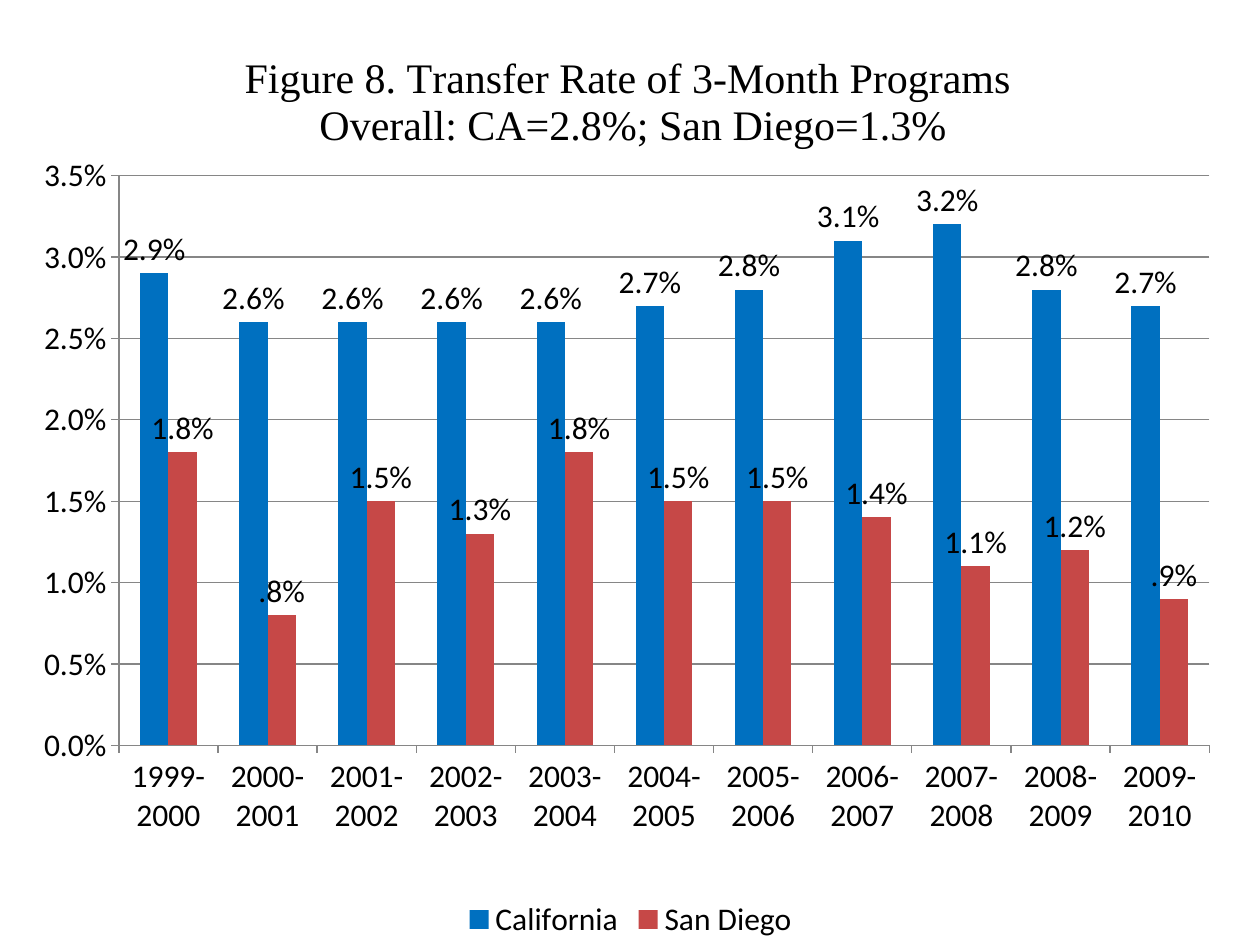
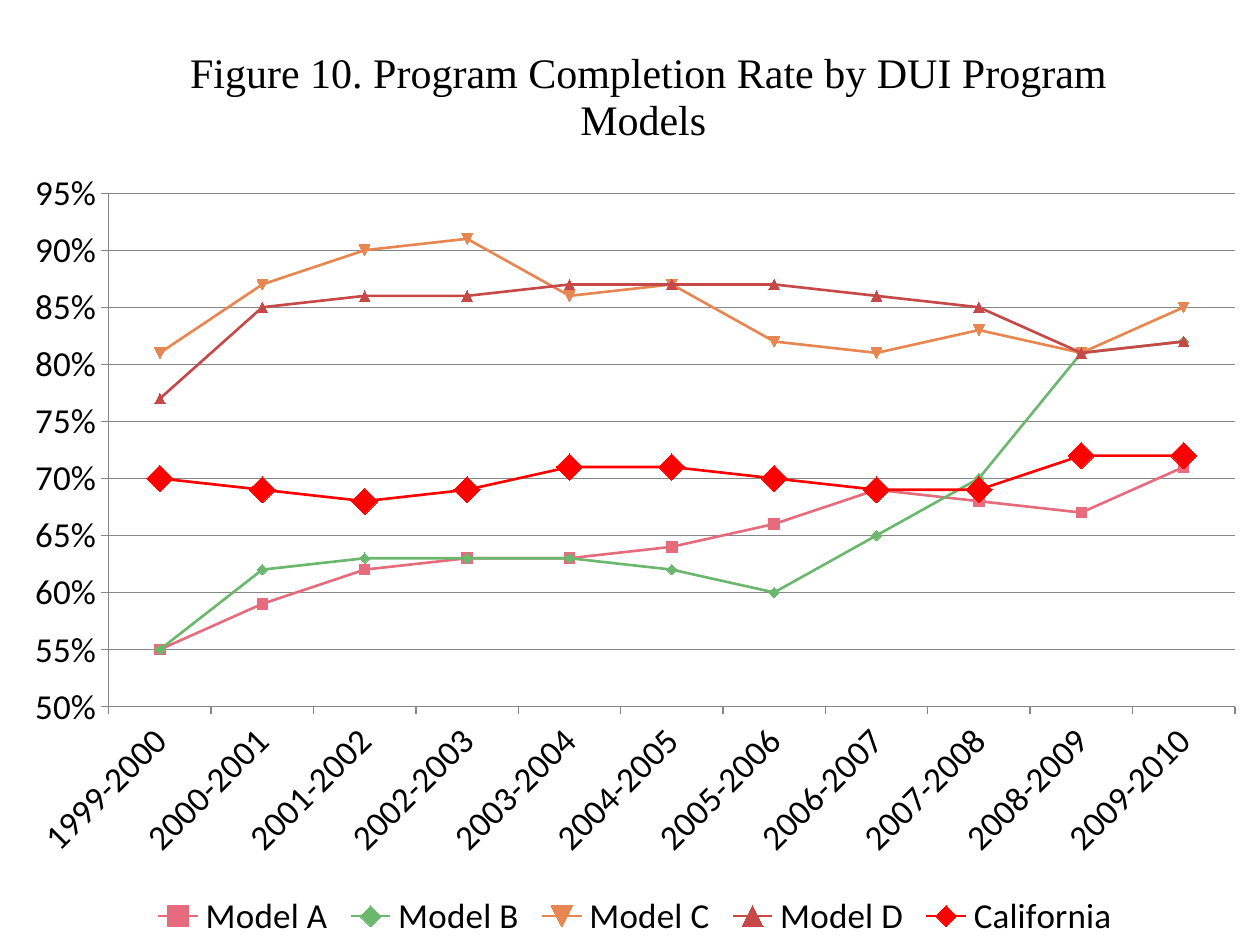
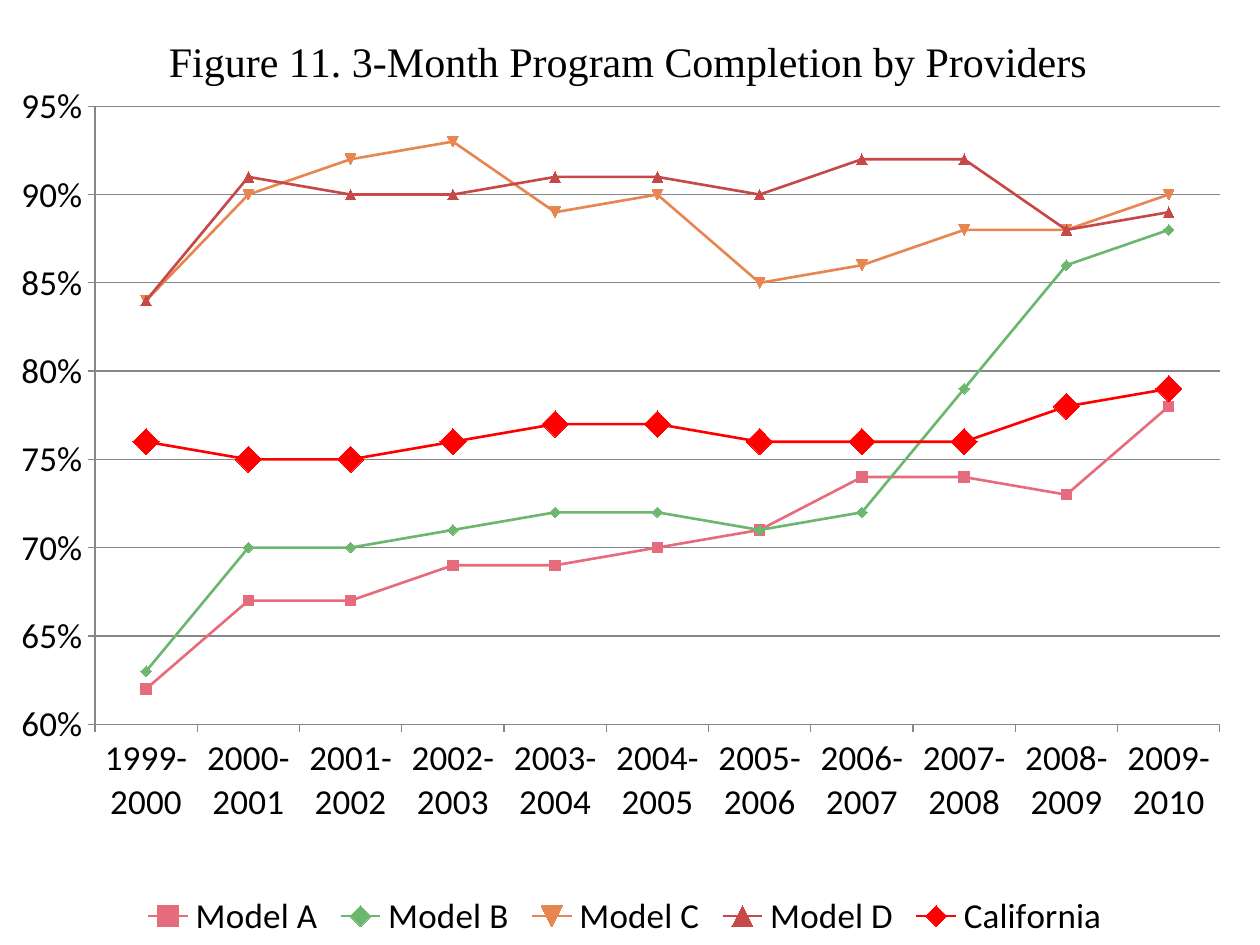
from pptx import Presentation
from pptx import util as u
from pptx.chart import data
from pptx.dml.color import RGBColor
from pptx.enum import chart as ch
from pptx.oxml import parse_xml
from pptx.oxml.ns import nsdecls, qn

COLORS = {
    "text": "000000",
    "grid": "868686",
    "California bars": "0070C0",
    "San Diego": "C64847",
    "Model A": "E66C7D",
    "Model B": "6BB76D",
    "Model C": "E88651",
    "Model D": "C64847",
    "California": "FF0000",
}
BODY_FONT = "Calibri"
TITLE_FONT = "Times New Roman"
YEARS = [f"{y}-{y + 1}" for y in range(1999, 2010)]

TRANSFER = {
    "California": [2.9, 2.6, 2.6, 2.6, 2.6, 2.7, 2.8, 3.1, 3.2, 2.8, 2.7],
    "San Diego": [1.8, 0.8, 1.5, 1.3, 1.8, 1.5, 1.5, 1.4, 1.1, 1.2, 0.9],
}
COMPLETION = {
    "Model A": [55, 59, 62, 63, 63, 64, 66, 69, 68, 67, 71],
    "Model B": [55, 62, 63, 63, 63, 62, 60, 65, 70, 81, 82],
    "Model C": [81, 87, 90, 91, 86, 87, 82, 81, 83, 81, 85],
    "Model D": [77, 85, 86, 86, 87, 87, 87, 86, 85, 81, 82],
    "California": [70, 69, 68, 69, 71, 71, 70, 69, 69, 72, 72],
}
THREE_MONTH = {
    "Model A": [62, 67, 67, 69, 69, 70, 71, 74, 74, 73, 78],
    "Model B": [63, 70, 70, 71, 72, 72, 71, 72, 79, 86, 88],
    "Model C": [84, 90, 92, 93, 89, 90, 85, 86, 88, 88, 90],
    "Model D": [84, 91, 90, 90, 91, 91, 90, 92, 92, 88, 89],
    "California": [76, 75, 75, 76, 77, 77, 76, 76, 76, 78, 79],
}


def rgb(name):
    return RGBColor.from_string(COLORS[name])


def fill(fmt, name):
    fmt.fill.solid()
    fmt.fill.fore_color.rgb = rgb(name)


def stroke(fmt, name, width):
    fmt.line.color.rgb = rgb(name)
    fmt.line.width = u.Pt(width)


def set_layout(parent, x, y, w=None, h=None):
    old = parent.find(qn("c:layout"))
    if old is not None:
        parent.remove(old)
    target, size = "", ""
    if w is not None:
        target = '<c:layoutTarget val="inner"/>'
        size = f'<c:w val="{w}"/><c:h val="{h}"/>'
    layout = parse_xml(
        f'<c:layout {nsdecls("c")}><c:manualLayout>{target}'
        f'<c:xMode val="edge"/><c:yMode val="edge"/>'
        f'<c:x val="{x}"/><c:y val="{y}"/>{size}</c:manualLayout></c:layout>')
    tx = parent.find(qn("c:tx"))
    parent.insert(0 if tx is None else 1, layout)


def set_title(chart, title, pos):
    tf = chart.chart_title.text_frame
    tf.text = title
    for p in tf.paragraphs:
        p.font.name = TITLE_FONT
        p.font.size = u.Pt(24)
        p.font.bold = False
        p.font.color.rgb = rgb("text")
    chart.chart_title.include_in_layout = False
    set_layout(chart.chart_title._element, *pos)


def style_axes(chart, scale, number_format, angle):
    values, cats = chart.value_axis, chart.category_axis
    values.minimum_scale, values.maximum_scale, values.major_unit = scale
    values.has_major_gridlines = True
    stroke(values.major_gridlines.format, "grid", 0.75)
    values.tick_labels.number_format = number_format
    values.tick_labels.number_format_is_linked = False
    for axis in (values, cats):
        axis.major_tick_mark = ch.XL_TICK_MARK.OUTSIDE
        axis.minor_tick_mark = ch.XL_TICK_MARK.NONE
        stroke(axis.format, "grid", 0.75)
    cats.tick_labels.font.color.rgb = rgb("text")
    body = cats._element.find(qn("c:txPr")).find(qn("a:bodyPr"))
    body.set("rot", str(angle * 60000))


def add_rate_chart(prs, kind, rates, box, size, title, title_pos, plot_box,
                   scale, number_format="0%", angle=0):
    s = prs.slides.add_slide(prs.slide_layouts[6])
    cd = data.CategoryChartData(number_format=number_format)
    cd.categories = YEARS
    for name, percents in rates.items():
        cd.add_series(name, [round(v / 100, 3) for v in percents])
    chart = s.shapes.add_chart(kind, *map(u.Inches, box), cd).chart
    chart.font.name = BODY_FONT
    chart.font.size = u.Pt(size)
    chart.font.color.rgb = rgb("text")
    set_title(chart, title, title_pos)
    style_axes(chart, scale, number_format, angle)
    chart.has_legend = True
    chart.legend.position = ch.XL_LEGEND_POSITION.BOTTOM
    chart.legend.include_in_layout = False
    set_layout(chart._chartSpace.chart.plotArea, *plot_box)
    chart.plots[0].vary_by_categories = False
    return chart


def style_bars(chart):
    plot = chart.plots[0]
    plot.gap_width = 150
    plot.overlap = 0
    looks = (("California bars", "0.0%"), ("San Diego", "####.0%"))
    for series, (color, number_format) in zip(plot.series, looks):
        fill(series.format, color)
        labels = series.data_labels
        labels.show_value = True
        labels.number_format = number_format
        labels.number_format_is_linked = False
        labels.position = ch.XL_LABEL_POSITION.OUTSIDE_END
        labels.font.size = u.Pt(18)
        labels.font.color.rgb = rgb("text")


def style_lines(chart):
    for series in chart.plots[0].series:
        series.smooth = False
        stroke(series.format, series.name, 1.5)
        marker = series.marker
        marker.size = 6
        if series.name == "California":
            marker.style = ch.XL_MARKER_STYLE.DIAMOND
            marker.size = 15
        fill(marker.format, series.name)
        marker.format.line.color.rgb = rgb(series.name)


def main():
    prs = Presentation()
    prs.slide_width, prs.slide_height = u.Inches(10), u.Inches(7.5)
    bars = ch.XL_CHART_TYPE.COLUMN_CLUSTERED
    lines = ch.XL_CHART_TYPE.LINE_MARKERS

    style_bars(add_rate_chart(
        prs, bars, TRANSFER, (0.17, 0.17, 9.67, 7.33), 18,
        "Figure 8. Transfer Rate of 3-Month Programs \n"
        "Overall: CA=2.8%; San Diego=1.3%",
        (0.18, 0.03), (0.08, 0.167, 0.895, 0.617),
        (0, 0.035, 0.005), "0.0%"))
    style_lines(add_rate_chart(
        prs, lines, COMPLETION, (0.08, 0.17, 9.92, 7.33), 20,
        "Figure 10. Program Completion Rate by DUI Program Models ",
        (0.138, 0.018), (0.079, 0.186, 0.901, 0.556),
        (0.5, 0.95, 0.05), angle=-45))
    style_lines(add_rate_chart(
        prs, lines, THREE_MONTH, (0, 0.08, 9.92, 7.42), 20,
        "Figure 11. 3-Month Program Completion by Providers",
        (0.129, 0.018), (0.076, 0.103, 0.9, 0.661),
        (0.6, 0.95, 0.05)))
    prs.save("out.pptx")


if __name__ == "__main__":
    main()
